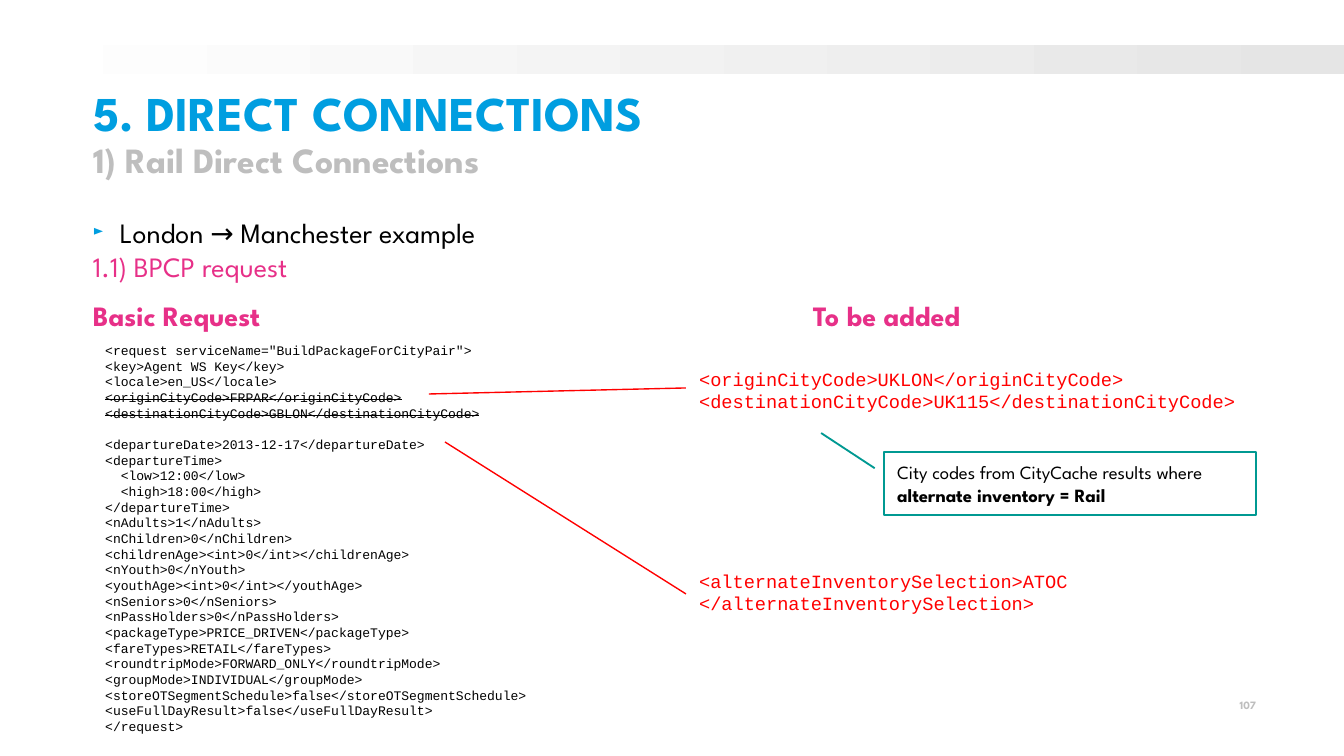
from lxml import etree
from pptx import Presentation
from pptx.dml.color import RGBColor
from pptx.enum.shapes import MSO_CONNECTOR as Connector, MSO_SHAPE as Shape
from pptx.enum.text import MSO_ANCHOR as Anchor, PP_ALIGN as Align
from pptx.oxml.ns import qn
from pptx.util import Emu, Pt

PX = 914400 / 134.4
COLORS = {
    "white": "FFFFFF", "band": "E5E5E5", "blue": "009EE0", "grey": "BEBEBE",
    "pink": "E73088", "black": "000000", "red": "FF0000", "teal": "009992",
}
SPARTAN, COURIER = "League Spartan", "Courier New"

TITLE = [
    ("5. DIRECT CONNECTIONS", {"size": 26, "color": "blue", "bold": True}),
    ("1) Rail Direct Connections", {"size": 19, "color": "grey", "bold": True}),
]
BODY = [
    ("London → Manchester example", {"size": 15, "color": "black"}),
    ("1.1) BPCP request", {"size": 15, "color": "pink"}),
    ("Basic Request\tTo be added", {"size": 15, "color": "pink", "bold": True}),
]
REQUEST = """<request serviceName="BuildPackageForCityPair">
<key>Agent WS Key</key>
<locale>en_US</locale>
<originCityCode>FRPAR</originCityCode>
<destinationCityCode>GBLON</destinationCityCode>
<departureDate>2013-12-17</departureDate>
<departureTime>
  <low>12:00</low>
  <high>18:00</high>
</departureTime>
<nAdults>1</nAdults>
<nChildren>0</nChildren>
<childrenAge><int>0</int></childrenAge>
<nYouth>0</nYouth>
<youthAge><int>0</int></youthAge>
<nSeniors>0</nSeniors>
<nPassHolders>0</nPassHolders>
<packageType>PRICE_DRIVEN</packageType>
<fareTypes>RETAIL</fareTypes>
<roundtripMode>FORWARD_ONLY</roundtripMode>
<groupMode>INDIVIDUAL</groupMode>
<storeOTSegmentSchedule>false</storeOTSegmentSchedule>
<useFullDayResult>false</useFullDayResult>
</request>""".split("\n")
REPLACED_LINES = (3, 4)
ADDITIONS = [
    ((686, 361, 621, 60), ["<originCityCode>UKLON</originCityCode>",
                           "<destinationCityCode>UK115</destinationCityCode>"]),
    ((686, 563, 621, 60), ["<alternateInventorySelection>ATOC",
                           "</alternateInventorySelection>"]),
]
LINKS = [(429, 394, 686, 388), (445, 442, 686, 594)]
NOTE = [("City codes from CityCache results where ", False),
        ("alternate inventory = Rail", True)]
NOTE_POINTER = (0.258, -0.025, -0.301, -0.169)


def px(*values):
    return [Emu(round(value * PX)) for value in values]


def rgb(name):
    return RGBColor.from_string(COLORS[name])


def add_span(para, text, size, color, font=SPARTAN, bold=False):
    span = para.add_run()
    span.text = text
    for name, value in {"name": font, "size": Pt(size), "bold": bold}.items():
        setattr(span.font, name, value)
    span.font.color.rgb = rgb(color)
    return span


def set_frame(frame, inset=None, anchor=Anchor.TOP):
    frame.word_wrap = True
    frame.vertical_anchor = anchor
    if inset is not None:
        for side in ("left", "top", "right", "bottom"):
            setattr(frame, f"margin_{side}", inset)
    return frame


def add_box(at, inset=None):
    return set_frame(slide.shapes.add_textbox(*px(*at)).text_frame, inset)


def add_paras(frame, lines, **common):
    """Fill a frame with (text, format) lines and return its paragraphs."""
    for index, (text, style) in enumerate(lines):
        para = frame.add_paragraph() if index else frame.paragraphs[0]
        para.alignment = Align.LEFT
        add_span(para, text, **style, **common)
    return frame.paragraphs


def add_code(at, lines, size, color):
    style = {"size": size, "color": color, "font": COURIER}
    paras = add_paras(add_box(at), [(line, style) for line in lines])
    for para in paras:
        para.line_spacing = Pt(size * 1.2)
    return paras


def add_to(parent, tag, **attributes):
    return etree.SubElement(parent, qn(tag), attributes)


def add_bullet(para):
    indent = px(27)[0]
    properties = para._p.get_or_add_pPr()
    properties.set("marL", str(indent))
    properties.set("indent", str(-indent))
    add_to(add_to(properties, "a:buClr"), "a:srgbClr", val=COLORS["blue"])
    add_to(properties, "a:buSzPct", val="50000")
    add_to(properties, "a:buChar", char="►")


def add_tab(para, position):
    tabs = add_to(para._p.get_or_add_pPr(), "a:tabLst")
    add_to(tabs, "a:tab", pos=str(px(position)[0]), algn="l")


deck = Presentation()
deck.slide_width, deck.slide_height = px(1344, 756)
slide = deck.slides.add_slide(deck.slide_layouts[5])

band = slide.shapes.add_shape(Shape.RECTANGLE, *px(0, 45, 1344, 29))
band.shadow.inherit = False
band.line.fill.background()
band.fill.gradient()
band.fill.gradient_angle = 0
for stop, color in zip(band.fill.gradient_stops, ("white", "band")):
    stop.color.rgb = rgb(color)

title = slide.shapes.title
title.left, title.top, title.width, title.height = px(93, 90, 1164, 101)
for para in add_paras(set_frame(title.text_frame, 0), TITLE):
    para.line_spacing = 0.9

example, request_heading, columns = add_paras(add_box((93, 216, 1164, 472), 0), BODY)
add_bullet(example)
request_heading.space_after = Pt(8)
add_tab(columns, 720)

page_number = add_paras(add_box((1153, 698, 103, 38), 0),
                        [("107", {"size": 6, "color": "grey", "bold": True})])[0]
page_number.alignment = Align.RIGHT

for at, lines in ADDITIONS:
    add_code(at, lines, 10, "red")

note = slide.shapes.add_shape(Shape.LINE_CALLOUT_1, *px(884, 452, 372, 63))
note.shadow.inherit = False
note.fill.solid()
note.fill.fore_color.rgb = rgb("white")
note.line.color.rgb = rgb("teal")
note.line.width = Pt(1)
for index, value in enumerate(NOTE_POINTER):
    note.adjustments[index] = value
note_para = set_frame(note.text_frame, anchor=Anchor.MIDDLE).paragraphs[0]
note_para.alignment = Align.LEFT
for text, bold in NOTE:
    add_span(note_para, text, 10, "black", bold=bold)

request = add_code((92, 336, 597, 410), REQUEST, 7, "black")
for index in REPLACED_LINES:
    request[index].runs[0].font._element.set("strike", "sngStrike")
request[REPLACED_LINES[-1]].space_after = Pt(8.4)

for ends in LINKS:
    link = slide.shapes.add_connector(Connector.STRAIGHT, *px(*ends))
    link.line.color.rgb = rgb("red")
    link.line.width = Pt(0.75)
    add_to(link._element.spPr, "a:effectLst")

deck.save("out.pptx")
